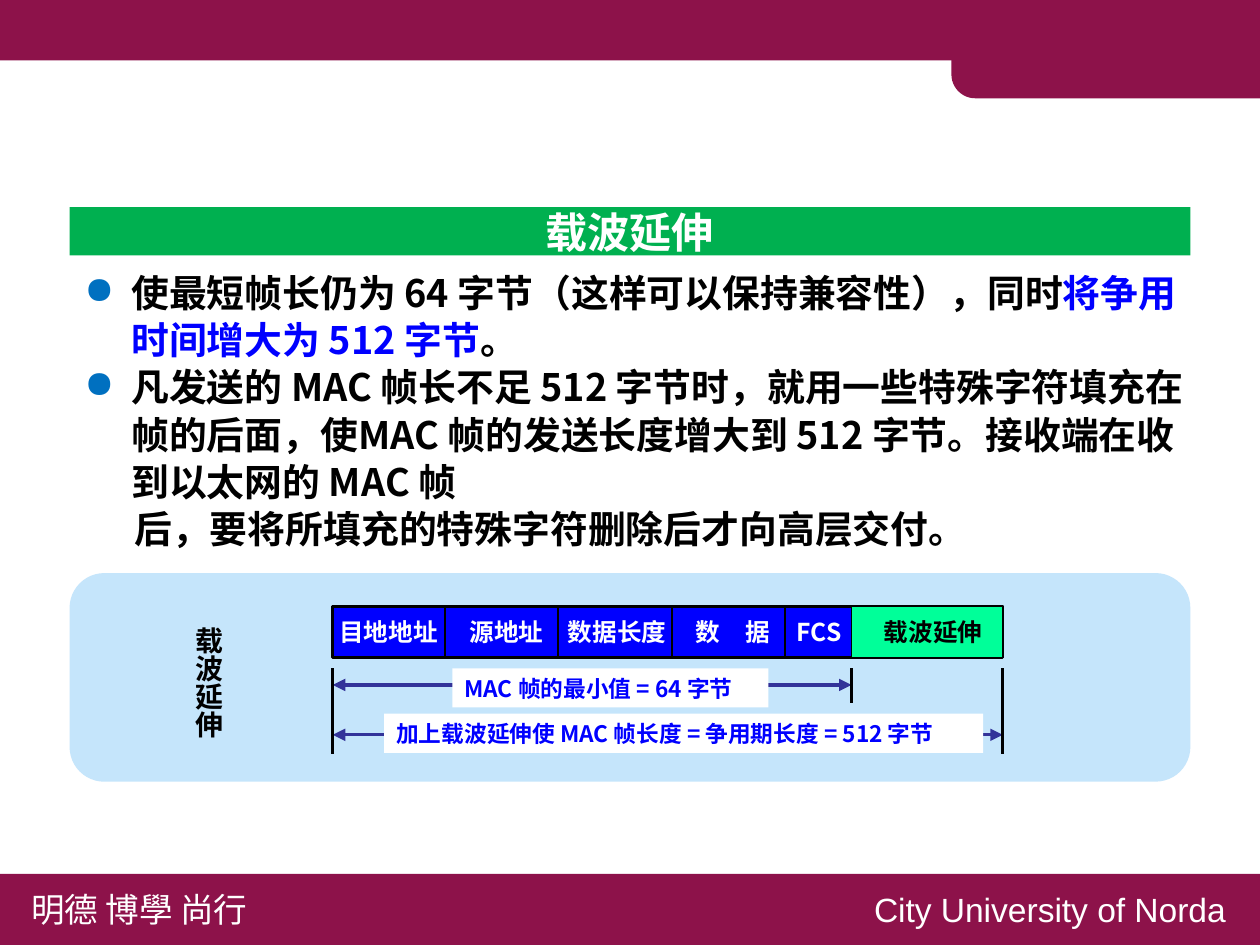
from dataclasses import dataclass

import pptx
import pptx.util
from lxml import etree
from pptx.dml.color import RGBColor
from pptx.enum.shapes import MSO_CONNECTOR, MSO_SHAPE
from pptx.enum.text import MSO_ANCHOR, PP_ALIGN
from pptx.oxml.ns import qn
from pptx.util import Inches, Pt

CJK = "Noto Sans CJK SC"
WINE = RGBColor(0x8D, 0x12, 0x4A)
GREEN = RGBColor(0x00, 0xB0, 0x50)
MINT = RGBColor(0x00, 0xFF, 0x99)
SKY = RGBColor(0xC5, 0xE5, 0xFB)
BLUE = RGBColor(0x00, 0x00, 0xFF)
NAVY = RGBColor(0x33, 0x33, 0x99)
WHITE = RGBColor(0xFF, 0xFF, 0xFF)
BLACK = RGBColor(0x00, 0x00, 0x00)

LEFT, STEP, SPLIT, RIGHT = 2.2, 0.75, 5.63, 6.63
ROW, TALL, RULE = 4.01, 0.34, 4.42


@dataclass
class Box:
    x: float
    y: float
    w: float
    h: float

    def place(self) -> tuple:
        return tuple(Inches(v) for v in (self.x, self.y, self.w, self.h))


@dataclass
class Field:
    text: str
    x: float
    w: float
    color: RGBColor = WHITE


@dataclass
class Span:
    text: str
    y: float
    end: float
    label: Box


def style(para, size: float, color: RGBColor, bold: bool = True, face: str = CJK) -> None:
    font = para.font
    font.size, font.bold, font.name = Pt(size), bold, face
    font.color.rgb = color
    base = para._p.pPr.find(qn("a:defRPr"))
    etree.SubElement(base, qn("a:ea")).set("typeface", face)


def block(slide, box: Box, fill: RGBColor, kind=MSO_SHAPE.RECTANGLE,
          edge: float = 0):
    shape = slide.shapes.add_shape(kind, *box.place())
    shape.shadow.inherit = False
    shape.fill.solid()
    shape.fill.fore_color.rgb = fill
    if edge:
        shape.line.color.rgb = BLACK
        shape.line.width = Pt(edge)
    else:
        shape.line.fill.background()
    return shape


def write(shape, text: str, size: float, color: RGBColor, align=PP_ALIGN.CENTER,
          bold: bool = True, face: str = CJK, tight: bool = False):
    frame = shape.text_frame
    frame.word_wrap = False
    if tight:
        frame.margin_left = frame.margin_right = Inches(0.08)
        frame.margin_top = frame.margin_bottom = Inches(0.04)
    para = frame.paragraphs[0]
    para.text, para.alignment = text, align
    style(para, size, color, bold, face)
    return frame


def label(slide, box: Box, text: str, size: float, color: RGBColor, **look):
    return write(slide.shapes.add_textbox(*box.place()), text, size, color, **look)


def rule(slide, x1: float, y1: float, x2: float, y2: float, width: float,
         color: RGBColor = BLACK, arrows: bool = False) -> None:
    line = slide.shapes.add_connector(
        MSO_CONNECTOR.STRAIGHT, *(Inches(v) for v in (x1, y1, x2, y2)))
    line.line.color.rgb = color
    line.line.width = Pt(width)
    props = line._element.spPr
    if arrows:
        for end in ("a:headEnd", "a:tailEnd"):
            etree.SubElement(props.find(qn("a:ln")), qn(end)).set("type", "triangle")
    etree.SubElement(props, qn("a:effectLst"))


def frame_bands(slide) -> None:
    """Draw the coloured bands at the top and bottom with the footer text."""
    block(slide, Box(0, 0, 8.33, 0.4), WINE)
    tab = block(slide, Box(6.29, 0.02, 2.04, 0.63), WINE, MSO_SHAPE.ROUND_1_RECTANGLE)
    tab.rotation = 180
    tab.adjustments[0] = 0.25
    block(slide, Box(0, 5.78, 8.33, 0.47), WINE)
    label(slide, Box(0.11, 5.83, 1.68, 0.37), "明德 博學 尚行", 16, WHITE,
          align=PP_ALIGN.LEFT, bold=False)
    label(slide, Box(5.68, 5.83, 2.62, 0.37), "City University of Norda", 16, WHITE,
          align=PP_ALIGN.LEFT, bold=False, face="Arial")


def head(slide) -> None:
    title = slide.shapes.title
    title.left, title.top, title.width, title.height = Box(0.46, 1.37, 7.41, 0.32).place()
    form = etree.SubElement(title._element.spPr, qn("a:prstGeom"))
    form.set("prst", "roundRect")
    etree.SubElement(form, qn("a:avLst"))
    title.fill.solid()
    title.fill.fore_color.rgb = GREEN
    frame = write(title, "载波延伸", 20, WHITE)
    frame.vertical_anchor = MSO_ANCHOR.MIDDLE


def body(slide) -> None:
    paras = [
        (True, [("使最短帧长仍为 64 字节（这样可以保持兼容性），同时", BLACK),
                ("将争用时间增大为 512 字节", BLUE), ("。", BLACK)]),
        (True, [("凡发送的 MAC 帧长不足 512 字节时，就用一些特殊字符填充在帧的后面，"
                 "使MAC 帧的发送长度增大到 512 字节。接收端在收到以太网的 MAC 帧", BLACK)]),
        (False, [("后，要将所填充的特殊字符删除后才向高层交付。", BLACK)]),
    ]
    frame = slide.shapes.add_textbox(*Box(0.46, 1.72, 7.48, 2.02).place()).text_frame
    frame.word_wrap = True
    for i, (dot, runs) in enumerate(paras):
        para = frame.add_paragraph() if i else frame.paragraphs[0]
        para.line_spacing = Pt(22.5)
        props = para._p.get_or_add_pPr()
        props.set("marL", str(Inches(0.31 if dot else 0.33)))
        props.set("indent", str(Inches(-0.31 if dot else 0)))
        if dot:
            tint = etree.SubElement(props, qn("a:buClr"))
            etree.SubElement(tint, qn("a:srgbClr")).set("val", "0070C0")
            etree.SubElement(props, qn("a:buChar")).set("char", "●")
        style(para, 18, BLACK)
        for text, color in runs:
            run = para.add_run()
            run.text = text
            if color != BLACK:
                run.font.color.rgb = color


def diagram(slide) -> None:
    block(slide, Box(0.46, 3.79, 7.41, 1.38), SKY, MSO_SHAPE.ROUNDED_RECTANGLE)
    side = label(slide, Box(1.11, 4.05, 0.43, 0.85), "载波延伸", 13.3, BLACK)
    side._txBody.bodyPr.set("vert", "eaVert")

    block(slide, Box(LEFT, ROW, RIGHT - LEFT, TALL), BLUE, edge=1.5)
    block(slide, Box(SPLIT, ROW, RIGHT - SPLIT, TALL), MINT, edge=0.75)
    for i in range(1, 5):
        x = LEFT + i * STEP - 0.01
        rule(slide, x, ROW, x, ROW + TALL, 1)
    fields = [
        Field("目地地址", 2.16, 0.82), Field("源地址", 3.02, 0.66),
        Field("数据长度", 3.67, 0.82), Field("数　据", 4.5, 0.69),
        Field("FCS", 5.18, 0.47), Field("载波延伸", 5.76, 0.82, BLACK),
    ]
    for item in fields:
        label(slide, Box(item.x, 4.04, item.w, 0.28), item.text, 11.7, item.color,
              tight=True)

    spans = [
        Span("MAC 帧的最小值 = 64 字节", 4.53, SPLIT, Box(2.99, 4.42, 2.09, 0.26)),
        Span("加上载波延伸使 MAC 帧长度 = 争用期长度 = 512 字节", 4.86, RIGHT,
             Box(2.54, 4.72, 3.96, 0.26)),
    ]
    for span in spans:
        rule(slide, LEFT, span.y, span.end, span.y, 1.5, NAVY, arrows=True)
        write(block(slide, span.label, WHITE), span.text, 10.8, BLUE,
              align=PP_ALIGN.LEFT, tight=True)
    for x, foot in ((LEFT, 4.99), (SPLIT, 4.65), (RIGHT, 4.99)):
        rule(slide, x, RULE, x, foot, 1.5)


def main() -> None:
    deck = pptx.Presentation()
    deck.slide_width, deck.slide_height = Inches(8.33), Inches(6.25)
    slide = deck.slides.add_slide(deck.slide_layouts[5])
    frame_bands(slide)
    head(slide)
    body(slide)
    diagram(slide)
    deck.save("out.pptx")


if __name__ == "__main__":
    main()
